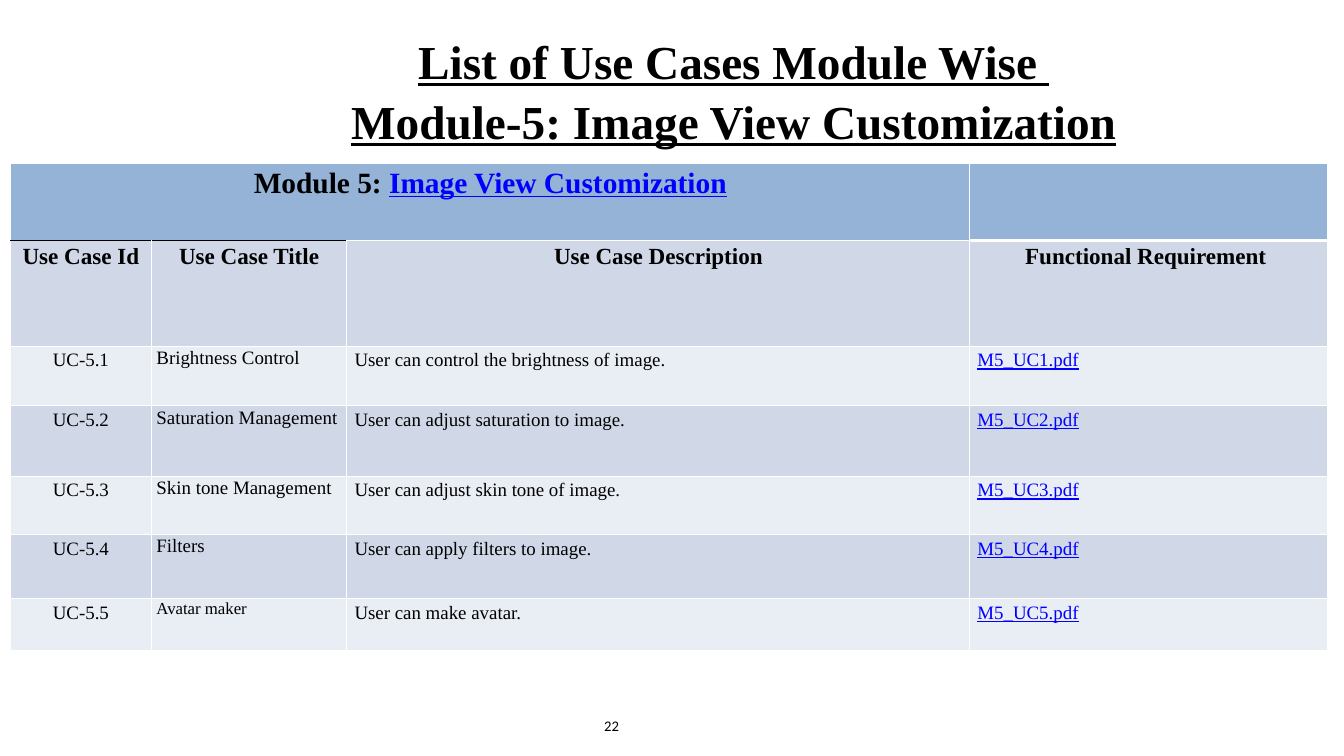
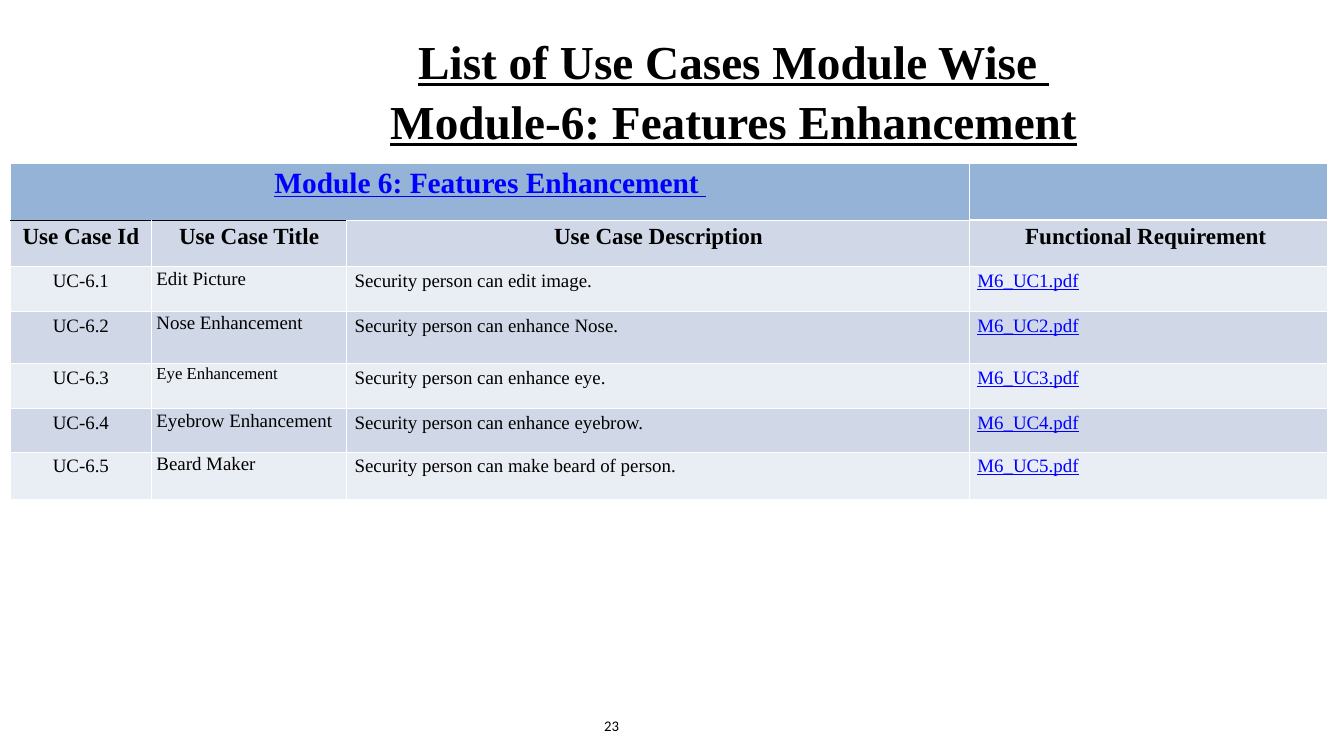
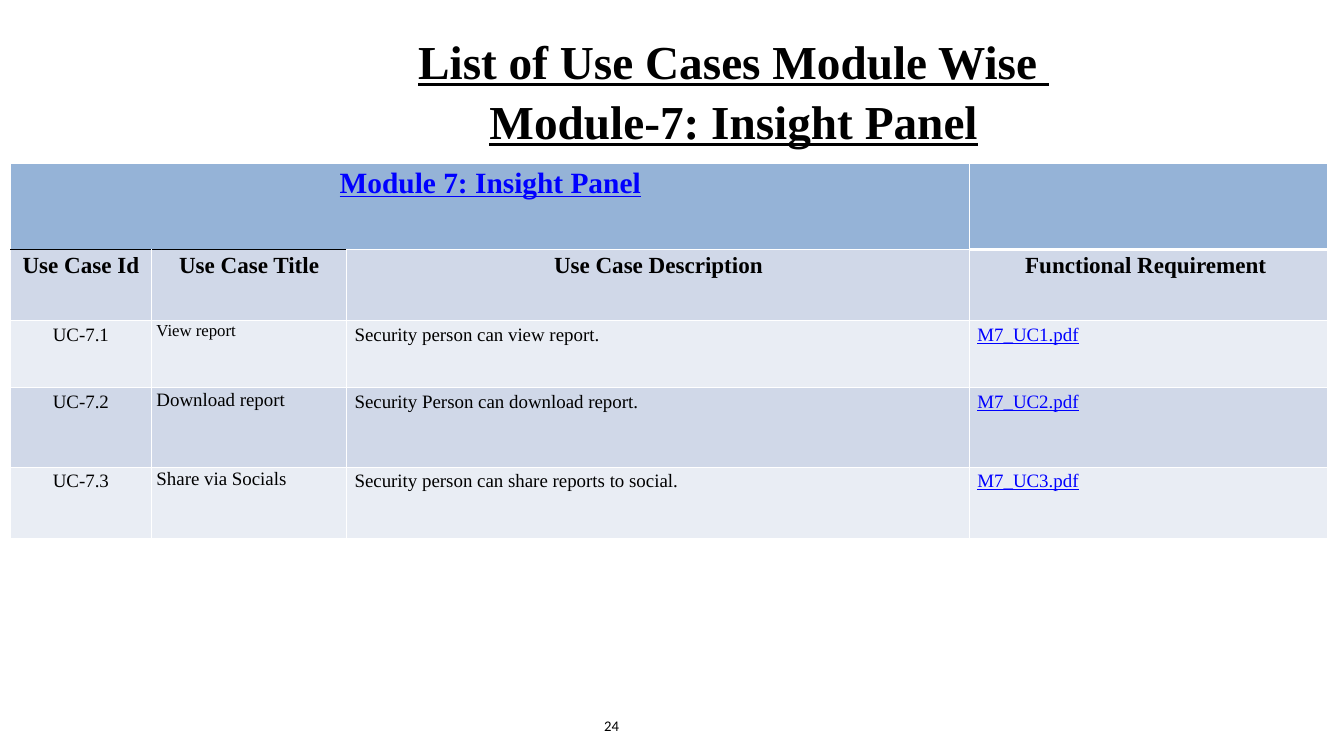
"""Build three slides that list the use cases of modules 5 to 7."""
import pptx
import pptx.dml.color
import pptx.enum.text
import pptx.oxml.ns
import pptx.util
from dataclasses import dataclass
from lxml import etree

MODS = [
    dict(num=5, name="Image View Customization", page=22, wide=1353,
         band=[("Module 5: ", False), ("Image View Customization", True)],
         rows=[102, 140, 79, 93, 77, 85, 69],
         cases=[("Brightness Control", "User can control the brightness of image."),
                ("Saturation Management", "User can adjust saturation to image."),
                ("Skin tone Management", "User can adjust skin tone of image."),
                ("Filters", "User can apply filters to image."),
                ("Avatar maker", "User can make avatar.")]),
    dict(num=6, name="Features Enhancement", page=23, wide=1353,
         band=[("Module 6: Features Enhancement ", True)],
         rows=[75, 62, 59, 69, 60, 57, 63],
         cases=[("Edit Picture", "Security person can edit image."),
                ("Nose Enhancement", "Security person can enhance Nose."),
                ("Eye Enhancement", "Security person can enhance eye."),
                ("Eyebrow Enhancement", "Security person can enhance eyebrow."),
                ("Beard Maker", "Security person can make beard of person.")]),
    dict(num=7, name="Insight Panel", page=24, wide=1489,
         band=[("Module 7: Insight Panel", True)],
         rows=[114, 94, 89, 105, 94],
         cases=[("View report", "Security person can view report."),
                ("Download report", "Security Person can download report."),
                ("Share via Socials", "Security person can share reports to social.")]),
]
HEADS = ["Use Case Id", "Use Case Title", "Use Case Description", "Functional Requirement "]
SMALL = {"Avatar maker", "Eye Enhancement", "View report"}
COLS = [186, 259, 824, 473]
PAGE = (1778, 1000)
MID = 1941


@dataclass(frozen=True)
class Theme:
    """Colours, fonts and type sizes."""
    ink: str = "000000"
    line: str = "FFFFFF"
    link: str = "0000FF"
    band: str = "95B3D7"
    dark: str = "D0D8E8"
    light: str = "E9EDF4"
    serif: str = "Times New Roman"
    sans: str = "Calibri"
    title: int = 45
    module: int = 28
    head: int = 22
    body: int = 18
    small: int = 16
    foot: int = 14


LOOK = Theme()
ALIGN = pptx.enum.text.PP_ALIGN
ANCHOR = pptx.enum.text.MSO_ANCHOR


def px(num):
    """Turn px into EMU at 100 px to the inch."""
    return pptx.util.Emu(round(num * 9144))


def write(frame, parts, size=LOOK.body, font=LOOK.serif, bold=False, under=False,
          align=ALIGN.CENTER, space=None):
    """Write (text, is link) parts, or a plain string, with line breaks."""
    para = frame.paragraphs[0]
    para.alignment = align
    if space:
        para.line_spacing = space
    for text, link in [(parts, False)] if isinstance(parts, str) else parts:
        for i, line in enumerate(text.split("\n")):
            if i:
                para.add_line_break()
            run = para.add_run()
            run.text = line
            run.font.name, run.font.size = font, pptx.util.Pt(size)
            run.font.bold, run.font.underline = bold, under or link
            run.font.color.rgb = pptx.dml.color.RGBColor.from_string(LOOK.link if link else LOOK.ink)


def setup(shape, box, anchor):
    """Place a text shape and set its insets and anchor."""
    shape.left, shape.top, shape.width, shape.height = map(px, box)
    frame = shape.text_frame
    frame.word_wrap, frame.vertical_anchor = True, anchor
    frame.auto_size = pptx.enum.text.MSO_AUTO_SIZE.NONE
    frame.margin_left = frame.margin_right = px(11)
    frame.margin_top = frame.margin_bottom = px(6)
    return frame


def paint(cell, fill, **edges):
    """Draw four cell borders, then the fill."""
    props = cell._tc.get_or_add_tcPr()
    for side in "LRTB":
        tint, wide = edges.get(side, (LOOK.line, 1))
        line = etree.SubElement(props, pptx.oxml.ns.qn("a:ln" + side), w=str(wide * 12700))
        solid = etree.SubElement(line, pptx.oxml.ns.qn("a:solidFill"))
        etree.SubElement(solid, pptx.oxml.ns.qn("a:srgbClr"), val=tint)
    cell.fill.solid()
    cell.fill.fore_color.rgb = pptx.dml.color.RGBColor.from_string(fill)


def grid(slide, mod):
    """Add the table of one module."""
    rows = mod["rows"]
    frame = slide.shapes.add_table(len(rows), len(COLS), px(14), px(216), px(sum(COLS)), px(sum(rows)))
    table = frame.table
    table.first_row = table.horz_banding = False
    for col, wide in zip(table.columns, COLS):
        col.width = px(wide)
    for row, high in zip(table.rows, rows):
        row.height = px(high)
    rule = [(LOOK.ink, 1), (LOOK.ink, 1), (LOOK.line, 1), (LOOK.line, 3)]
    for r in range(len(rows)):
        fill = LOOK.band if r == 0 else LOOK.dark if r % 2 else LOOK.light
        for c, edge in enumerate(rule):
            edges = {"B": edge} if r == 0 else {"T": edge} if r == 1 else {}
            paint(table.cell(r, c), fill, **edges)
    table.cell(0, 0).merge(table.cell(0, 2))
    write(table.cell(0, 0).text_frame, mod["band"], size=LOOK.module, bold=True)
    for c, head in enumerate(HEADS):
        write(table.cell(1, c).text_frame, head, size=LOOK.head, bold=True)
    for i, (name, about) in enumerate(mod["cases"], 1):
        code, label, note, file = (table.cell(i + 1, c) for c in range(4))
        label.margin_left = label.margin_right = px(7)
        label.margin_top = label.margin_bottom = 0
        write(code.text_frame, f"UC-{mod['num']}.{i}")
        write(label.text_frame, name, size=LOOK.small if name in SMALL else LOOK.body,
              align=ALIGN.LEFT, space=1.07)
        write(note.text_frame, about, align=ALIGN.JUSTIFY)
        write(file.text_frame, [(f"M{mod['num']}_UC{i}.pdf", True)], align=ALIGN.JUSTIFY)


def build(deck, mod):
    """Add one module slide."""
    slide = deck.slides.add_slide(deck.slide_layouts[5])
    wide = mod["wide"]
    title = setup(slide.shapes.title, ((MID - wide) / 2, 33, wide, 125), ANCHOR.TOP)
    write(title, f"List of Use Cases Module Wise \nModule-{mod['num']}: {mod['name']}",
          size=LOOK.title, bold=True, under=True, space=1.05)
    foot = setup(slide.shapes.add_textbox(0, 0, 0, 0), (756, 933, 74, 53), ANCHOR.MIDDLE)
    write(foot, str(mod["page"]), size=LOOK.foot, font=LOOK.sans, align=ALIGN.RIGHT)
    grid(slide, mod)


def main():
    """Build and save the deck."""
    deck = pptx.Presentation()
    deck.slide_width, deck.slide_height = map(px, PAGE)
    for mod in MODS:
        build(deck, mod)
    deck.save("out.pptx")


if __name__ == "__main__":
    main()
